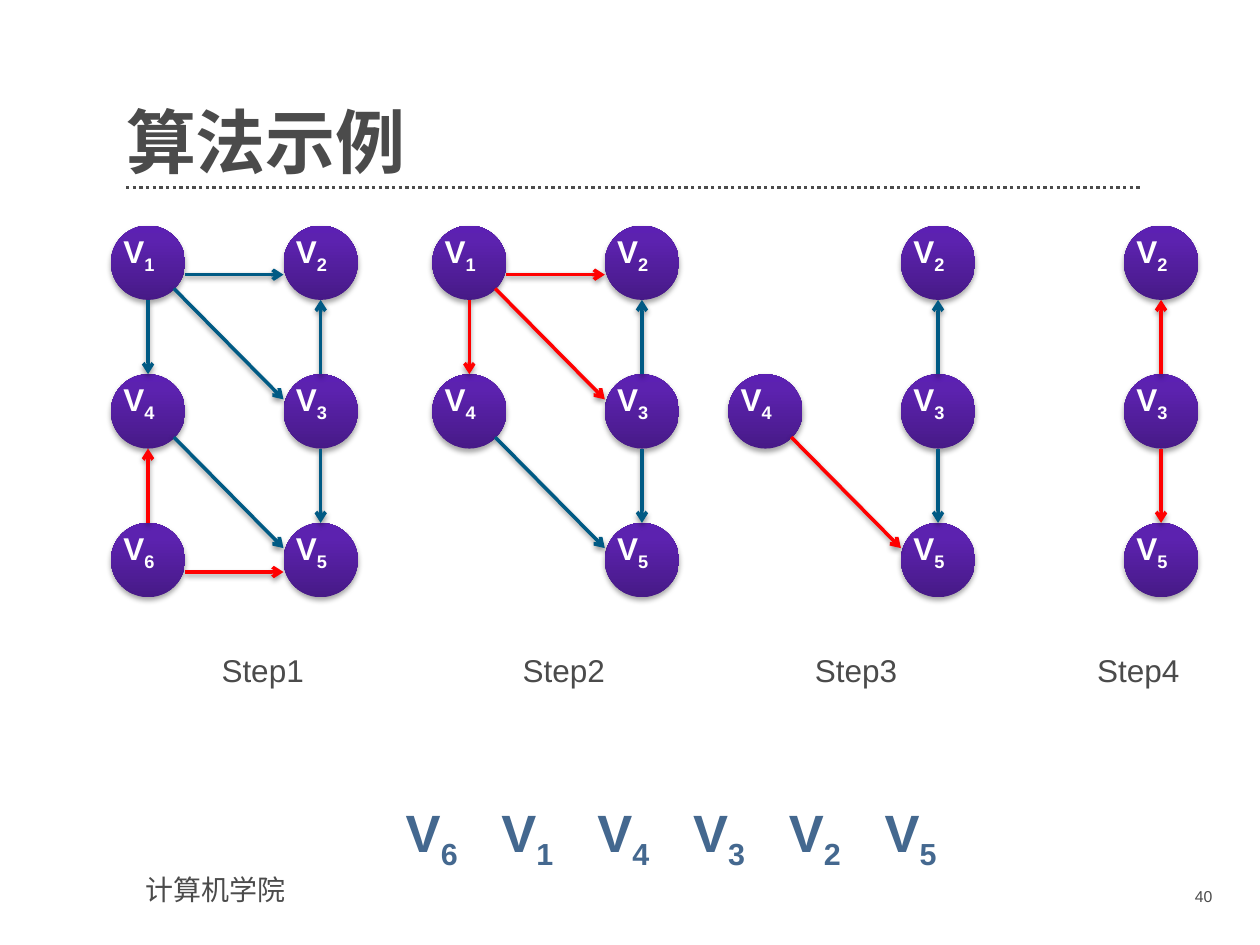
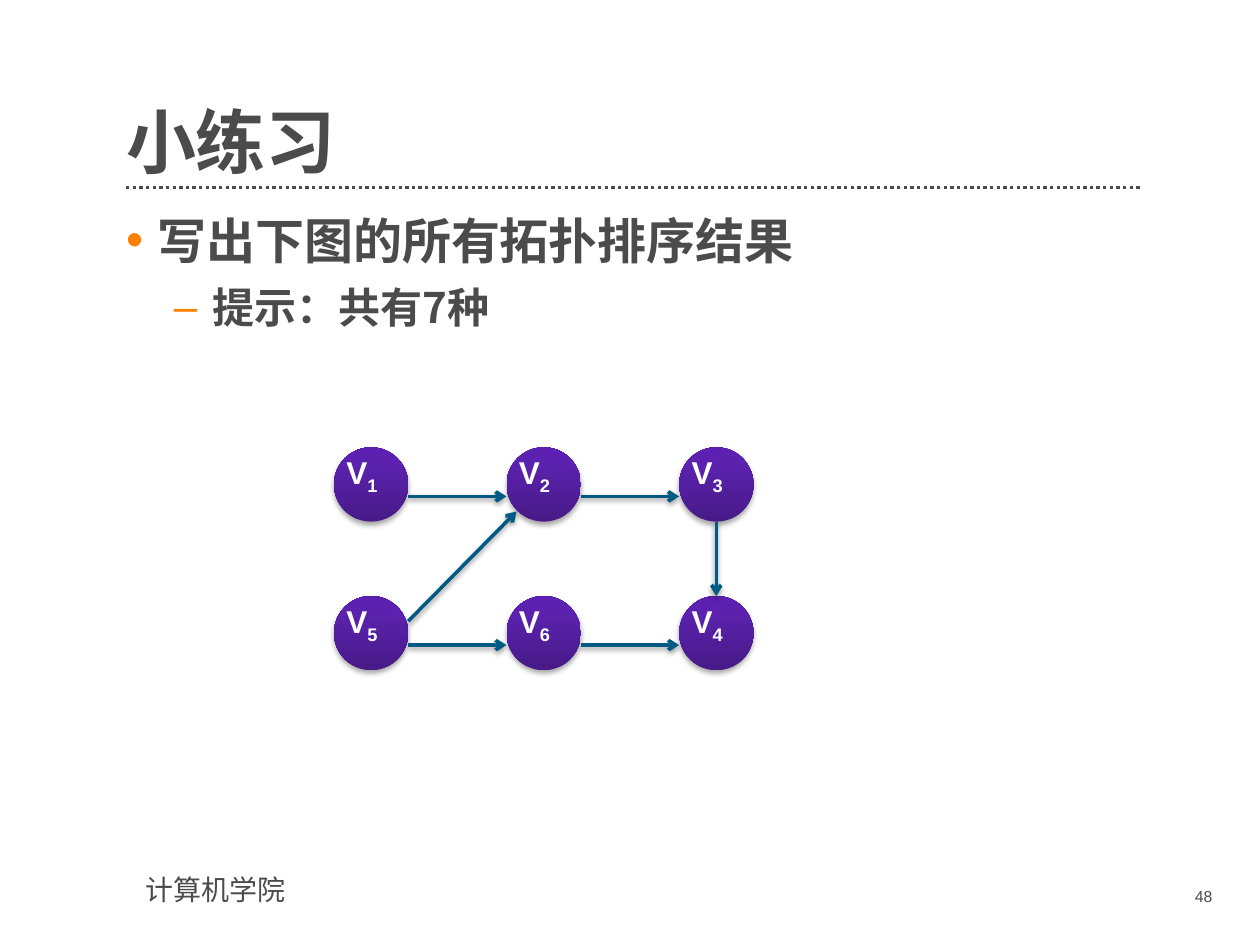
from dataclasses import dataclass

from pptx import Presentation
from pptx.dml.color import RGBColor
from pptx.enum.dml import MSO_LINE
from pptx.enum.shapes import MSO_CONNECTOR, MSO_SHAPE
from pptx.enum.text import MSO_ANCHOR, MSO_AUTO_SIZE, PP_ALIGN
from pptx.oxml import parse_xml
from pptx.oxml.ns import nsdecls
from pptx.shapes.connector import Connector
from pptx.slide import Slide
from pptx.text.text import TextFrame, _Paragraph, _Run
from pptx.util import Inches, Pt

INK, WHITE, RESULT = "4B4B4B", "FFFFFF", "44688F"
BLUE, RED, BULLET = "005A84", "FF0000", "FF8000"
NODE_STOPS = ((0, "471A87"), (80, "5C22AF"), (100, "5C20B3"))
LATIN, HAN = "Arial", "Noto Sans CJK SC"
NODE_SIZE, COLUMN_STEP, ROW_STEP = 0.59, 1.37, 1.18


@dataclass(frozen=True)
class Graph:
    left: float
    top: float
    places: dict[str, tuple[int, int]]
    edges: tuple[str, ...]
    removed: str = ""

    def corner(self, vertex: str) -> tuple[float, float]:
        column, row = self.places[vertex]
        return self.left + column * COLUMN_STEP, self.top + row * ROW_STEP


@dataclass(frozen=True)
class Step:
    left: float
    removed: str


@dataclass(frozen=True)
class Item:
    text: str
    level: int
    size: int
    margin: float
    hanging: float
    space_before: int


SORT_PLACES = {"1": (0, 0), "2": (1, 0), "3": (1, 1), "4": (0, 1), "6": (0, 2), "5": (1, 2)}
SORT_EDGES = ("12", "13", "32", "64", "65", "45", "35", "14")
STEPS = (Step(0.88, "6"), Step(3.43, "1"), Step(5.78, "4"), Step(7.55, "3"))
SORT_ORDER = "614325"
EXERCISE = Graph(
    2.65, 3.55,
    {"1": (0, 0), "2": (1, 0), "6": (1, 1), "5": (0, 1), "3": (2, 0), "4": (2, 1)},
    ("12", "52", "34", "23", "56", "64"),
)
ITEMS = (
    Item("写出下图的所有拓扑排序结果", 0, 28, 0.25, 0.25, 50),
    Item("提示：共有7种", 1, 24, 0.69, 0.31, 30),
)


def rgb(value: str) -> RGBColor:
    return RGBColor.from_string(value)


def element(xml: str):
    tag, rest = xml[1:].split(" ", 1) if " " in xml.split(">")[0] else xml[1:].split(">", 1)
    joint = " " if " " in xml.split(">")[0] else ">"
    return parse_xml(f"<{tag} {nsdecls('a')}{joint}{rest}")


def style(run: _Run, size: float, ink: str = INK, bold: bool = False, face: str = LATIN) -> None:
    run.font.size = Pt(size)
    run.font.bold = bold
    run.font.color.rgb = rgb(ink)
    run.font.name = face
    run._r.get_or_add_rPr().append(element(f'<a:ea typeface="{HAN}"/>'))


def add_text(shapes, box: tuple[float, ...], text: str = "", size: float = 18) -> TextFrame:
    frame = shapes.add_textbox(*map(Inches, box)).text_frame
    frame.word_wrap = True
    if text:
        frame.text = text
        style(frame.paragraphs[0].runs[0], size)
    return frame


def add_vertex_name(paragraph: _Paragraph, vertex: str, size: int, ink: str, lead: str = "") -> None:
    for text, baseline in ((lead + "V", "0"), (vertex, "-25000")):
        run = paragraph.add_run()
        run.text = text
        style(run, size, ink, bold=True)
        run._r.get_or_add_rPr().set("baseline", baseline)


def set_tabs(paragraph: _Paragraph, stops: list[float]) -> None:
    tabs = "".join(f'<a:tab pos="{Inches(stop)}" algn="l"/>' for stop in stops)
    paragraph._p.get_or_add_pPr().append(element(f"<a:tabLst>{tabs}</a:tabLst>"))


def add_shadow(shape, distance: float, opacity: int) -> None:
    shape._element.spPr.append(element(
        f'<a:effectLst><a:outerShdw blurRad="{Pt(3.1)}" dist="{Pt(distance)}" dir="5400000" '
        f'rotWithShape="0"><a:srgbClr val="000000"><a:alpha val="{opacity * 1000}"/>'
        "</a:srgbClr></a:outerShdw></a:effectLst>"))


def add_line(slide: Slide, start: tuple[float, float], end: tuple[float, float],
             ink: str, width: float) -> Connector:
    line = slide.shapes.add_connector(MSO_CONNECTOR.STRAIGHT, *map(Inches, start + end))
    line.line.color.rgb = rgb(ink)
    line.line.width = Pt(width)
    return line


def add_vertex(slide: Slide, graph: Graph, vertex: str) -> None:
    left, top = graph.corner(vertex)
    group = slide.shapes.add_group_shape()
    disc = group.shapes.add_shape(
        MSO_SHAPE.FLOWCHART_CONNECTOR, *map(Inches, (left, top, NODE_SIZE, NODE_SIZE)))
    stops = "".join(f'<a:gs pos="{place * 1000}"><a:srgbClr val="{ink}"/></a:gs>'
                    for place, ink in NODE_STOPS)
    disc._element.spPr.append(element(
        f'<a:gradFill rotWithShape="1"><a:gsLst>{stops}</a:gsLst>'
        '<a:lin ang="16200000" scaled="0"/></a:gradFill>'))
    disc.line.fill.background()
    add_shadow(disc, 1.8, 35)
    name = add_text(group.shapes, (left, top, NODE_SIZE, 0.4))
    add_vertex_name(name.paragraphs[0], vertex, 18, WHITE)


def edge_offsets(across: int, down: int) -> tuple[tuple[float, float], tuple[float, float]]:
    middle = NODE_SIZE / 2
    if across == 0:
        return ((middle, NODE_SIZE), (middle, 0)) if down > 0 else ((middle, 0), (middle, NODE_SIZE))
    if down == 0:
        return (NODE_SIZE, 0.39), (0, 0.39)
    return ((0.5, 0.5), (0, 0.2)) if down > 0 else ((NODE_SIZE, 0.2), (0.08, 0.51))


def add_edge(slide: Slide, graph: Graph, source: str, target: str) -> None:
    (column, row), (next_column, next_row) = graph.places[source], graph.places[target]
    leaving, arriving = edge_offsets(next_column - column, next_row - row)
    (x1, y1), (x2, y2) = graph.corner(source), graph.corner(target)
    arrow = add_line(slide, (x1 + leaving[0], y1 + leaving[1]),
                     (x2 + arriving[0], y2 + arriving[1]),
                     RED if source == graph.removed else BLUE, 2)
    arrow._element.spPr.get_or_add_ln().append(element('<a:tailEnd type="arrow"/>'))
    add_shadow(arrow, 1.6, 38)


def add_graph(slide: Slide, graph: Graph) -> None:
    for vertex in graph.places:
        add_vertex(slide, graph, vertex)
    for source, target in graph.edges:
        add_edge(slide, graph, source, target)


def furnish_master(deck, slide: Slide) -> None:
    rule = add_line(slide, (1, 1.49), (9.06, 1.49), INK, 1.9)
    rule.line.dash_style = MSO_LINE.ROUND_DOT
    rule._element.spPr.append(element("<a:effectLst></a:effectLst>"))
    add_text(slide.shapes, (1.06, 6.88, 2.56, 0.37), "计算机学院", 16)
    school = slide.shapes[-1]
    for shared in (rule, school):
        deck.slide_master.shapes._spTree.append(shared._element)


def place(placeholder, box: tuple[float, ...], right_inset: float = 0) -> TextFrame:
    placeholder.left, placeholder.top, placeholder.width, placeholder.height = map(Inches, box)
    frame = placeholder.text_frame
    frame.auto_size = MSO_AUTO_SIZE.NONE
    frame.margin_left = frame.margin_top = frame.margin_bottom = 0
    frame.margin_right = Inches(right_inset)
    return frame


def start_slide(deck, layout: int, title: str, number: str) -> Slide:
    slide = deck.slides.add_slide(deck.slide_layouts[layout])
    heading = place(slide.shapes.title, (1, 0.55, 8.06, 0.91))
    heading.text = title
    heading.vertical_anchor = MSO_ANCHOR.BOTTOM
    heading.paragraphs[0].alignment = PP_ALIGN.LEFT
    heading.paragraphs[0].line_spacing = 0.9
    style(heading.paragraphs[0].runs[0], 40, bold=True, face=HAN)
    page = add_text(slide.shapes, (8.73, 6.99, 0.99, 0.29), number, 9)
    page.paragraphs[0].alignment = PP_ALIGN.RIGHT
    return slide


def fill_list(slide: Slide) -> None:
    body = place(slide.placeholders[1], (1, 1.67, 8.06, 5), 0.2)
    body.text = "\n".join(item.text for item in ITEMS)
    for paragraph, item in zip(body.paragraphs, ITEMS):
        paragraph.level = item.level
        style(paragraph.runs[0], item.size, bold=True, face=HAN)
        properties = paragraph._p.get_or_add_pPr()
        properties.set("marL", str(Inches(item.margin)))
        properties.set("indent", str(-Inches(item.hanging)))
        properties.append(element(
            f'<a:spcBef><a:spcPct val="{item.space_before * 1000}"/></a:spcBef>'))
        properties.append(element(f'<a:buClr><a:srgbClr val="{BULLET}"/></a:buClr>'))
        properties.append(element(f'<a:buFont typeface="{LATIN}"/>'))
        properties.append(element(f'<a:buChar char="{"•–"[item.level]}"/>'))


def add_sort_steps(slide: Slide) -> None:
    remaining = dict(SORT_PLACES)
    for step in STEPS:
        edges = tuple(edge for edge in SORT_EDGES if edge[0] in remaining)
        add_graph(slide, Graph(step.left, 1.79, dict(remaining), edges, step.removed))
        del remaining[step.removed]

    labels = "\t".join(f"Step{index}" for index in range(1, len(STEPS) + 1))
    captions = add_text(slide.shapes, (1.66, 5.12, 7.85, 0.4), labels)
    set_tabs(captions.paragraphs[0], [2.39, 4.71, 6.95])

    order = add_text(slide.shapes, (3.04, 6.3, 4.58, 0.61))
    order.margin_left = Inches(0.18)
    for index, vertex in enumerate(SORT_ORDER):
        add_vertex_name(order.paragraphs[0], vertex, 30, RESULT, "\t" if index else "")
    set_tabs(order.paragraphs[0], [0.76 * index for index in range(1, len(SORT_ORDER))])


def main() -> None:
    deck = Presentation()
    deck.slide_width, deck.slide_height = Inches(10), Inches(7.5)
    example = start_slide(deck, 5, "算法示例", "40")
    furnish_master(deck, example)
    add_sort_steps(example)
    exercise = start_slide(deck, 1, "小练习", "48")
    fill_list(exercise)
    add_graph(exercise, EXERCISE)
    deck.save("out.pptx")


if __name__ == "__main__":
    main()
